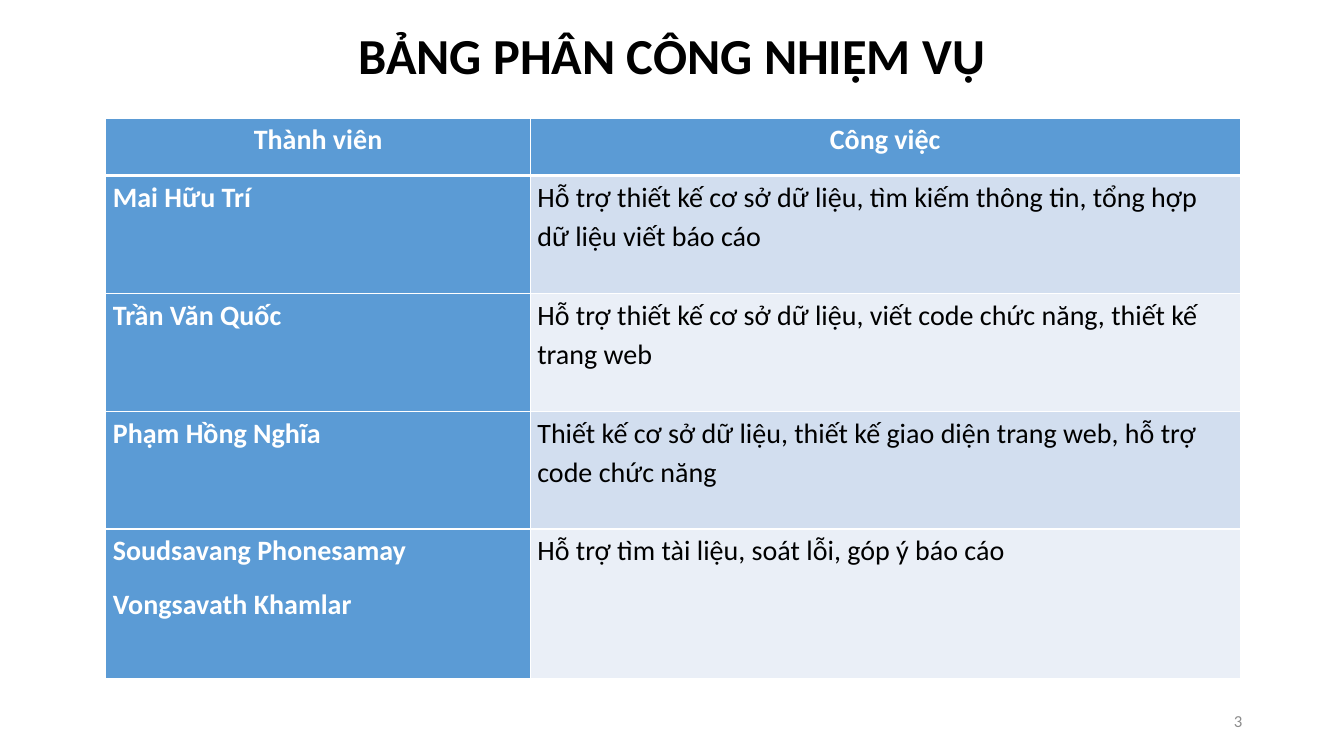
import pptx
import pptx.dml.color
import pptx.enum.text
import pptx.oxml
import pptx.oxml.ns
import pptx.util
from pptx.util import Inches

COLORS = {
    "white": "FFFFFF",
    "black": "000000",
    "header": "5B9BD5",
    "band_dark": "D2DEEF",
    "band_light": "EAEFF7",
    "page_number": "8C8C8C",
}
ALIGN = pptx.enum.text.PP_ALIGN
ANCHOR = pptx.enum.text.MSO_ANCHOR

HEADINGS = ("Thành viên", "Công việc")
DUTIES = [
    (["Mai Hữu Trí"],
     "Hỗ trợ thiết kế cơ sở dữ liệu, tìm kiếm thông tin, tổng hợp dữ liệu viết báo cáo"),
    (["Trần Văn Quốc"],
     "Hỗ trợ thiết kế cơ sở dữ liệu, viết code chức năng, thiết kế trang web"),
    (["Phạm Hồng Nghĩa"],
     "Thiết kế cơ sở dữ liệu, thiết kế giao diện trang web, hỗ trợ code chức năng"),
    (["Soudsavang Phonesamay", "Vongsavath Khamlar"],
     "Hỗ trợ tìm tài liệu, soát lỗi, góp ý báo cáo"),
]


class SlideBuilder:
    def __init__(self, page, font="Calibri"):
        self.page = page
        self.font = font

    def color(self, name):
        return pptx.dml.color.RGBColor.from_string(COLORS[name])

    def add_span(self, para, text, size, color, bold=False, align=ALIGN.LEFT):
        para.alignment = align
        span = para.add_run()
        span.text = text
        span.font.name = self.font
        span.font.size = pptx.util.Pt(size)
        span.font.bold = bold
        span.font.color.rgb = self.color(color)

    def title(self, text, left, top, width, height):
        box = self.page.shapes.title
        box.left, box.top = Inches(left), Inches(top)
        box.width, box.height = Inches(width), Inches(height)
        frame = box.text_frame
        frame.word_wrap = False
        frame.auto_size = pptx.enum.text.MSO_AUTO_SIZE.NONE
        frame.vertical_anchor = ANCHOR.MIDDLE
        self.add_span(frame.paragraphs[0], text, 36, "black", True, ALIGN.CENTER)

    def page_number(self, text, left, top, width, height):
        box = self.page.shapes.add_textbox(
            Inches(left), Inches(top), Inches(width), Inches(height))
        frame = box.text_frame
        frame.word_wrap = True
        frame.vertical_anchor = ANCHOR.MIDDLE
        self.add_span(frame.paragraphs[0], text, 12, "page_number", align=ALIGN.RIGHT)

    def table(self, left, top, widths, heights):
        frame = self.page.shapes.add_table(
            len(heights), len(widths), Inches(left), Inches(top),
            Inches(sum(widths)), Inches(sum(heights)))
        for column, width in zip(frame.table.columns, widths):
            column.width = Inches(width)
        for row, height in zip(frame.table.rows, heights):
            row.height = Inches(height)
        return frame.table

    def cell(self, cell, lines, fill, color, bold, align=ALIGN.LEFT, top=1, bottom=1):
        """Fill one table cell; top and bottom are border widths in points."""
        cell.margin_left = cell.margin_right = Inches(0.07)
        cell.margin_top = cell.margin_bottom = 0
        cell.fill.solid()
        cell.fill.fore_color.rgb = self.color(fill)
        frame = cell.text_frame
        for index, line in enumerate(lines):
            para = frame.add_paragraph() if index else frame.paragraphs[0]
            para.line_spacing = 1.15
            para.space_after = pptx.util.Pt(10)
            self.add_span(para, line, 20, color, bold, align)
        self.borders(cell, {"lnL": 1, "lnR": 1, "lnT": top, "lnB": bottom})

    def borders(self, cell, widths):
        properties = cell._tc.get_or_add_tcPr()
        namespace = pptx.oxml.ns.nsdecls("a")
        for index, (side, points) in enumerate(widths.items()):
            properties.insert(index, pptx.oxml.parse_xml(
                f'<a:{side} {namespace} w="{pptx.util.Pt(points)}"><a:solidFill>'
                f'<a:srgbClr val="{COLORS["white"]}"/></a:solidFill></a:{side}>'))


def main():
    deck = pptx.Presentation()
    deck.slide_width, deck.slide_height = Inches(13.33), Inches(7.5)
    builder = SlideBuilder(deck.slides.add_slide(deck.slide_layouts[5]))

    builder.title("BẢNG PHÂN CÔNG NHIỆM VỤ", 3.43, 0.18, 6.47, 0.71)
    builder.page_number("3", 9.42, 6.95, 3, 0.4)

    table = builder.table(1.05, 1.17, [4.21, 7.04], [0.57, 1.17, 1.17, 1.17, 1.48])
    for column, heading in enumerate(HEADINGS):
        builder.cell(table.cell(0, column), [heading], "header", "white", True,
                     ALIGN.CENTER, bottom=3)
    for row, (members, duty) in enumerate(DUTIES, start=1):
        top = 3 if row == 1 else 1
        band = "band_dark" if row % 2 else "band_light"
        builder.cell(table.cell(row, 0), members, "header", "white", True, top=top)
        builder.cell(table.cell(row, 1), [duty], band, "black", False, top=top)

    deck.save("out.pptx")


if __name__ == "__main__":
    main()
